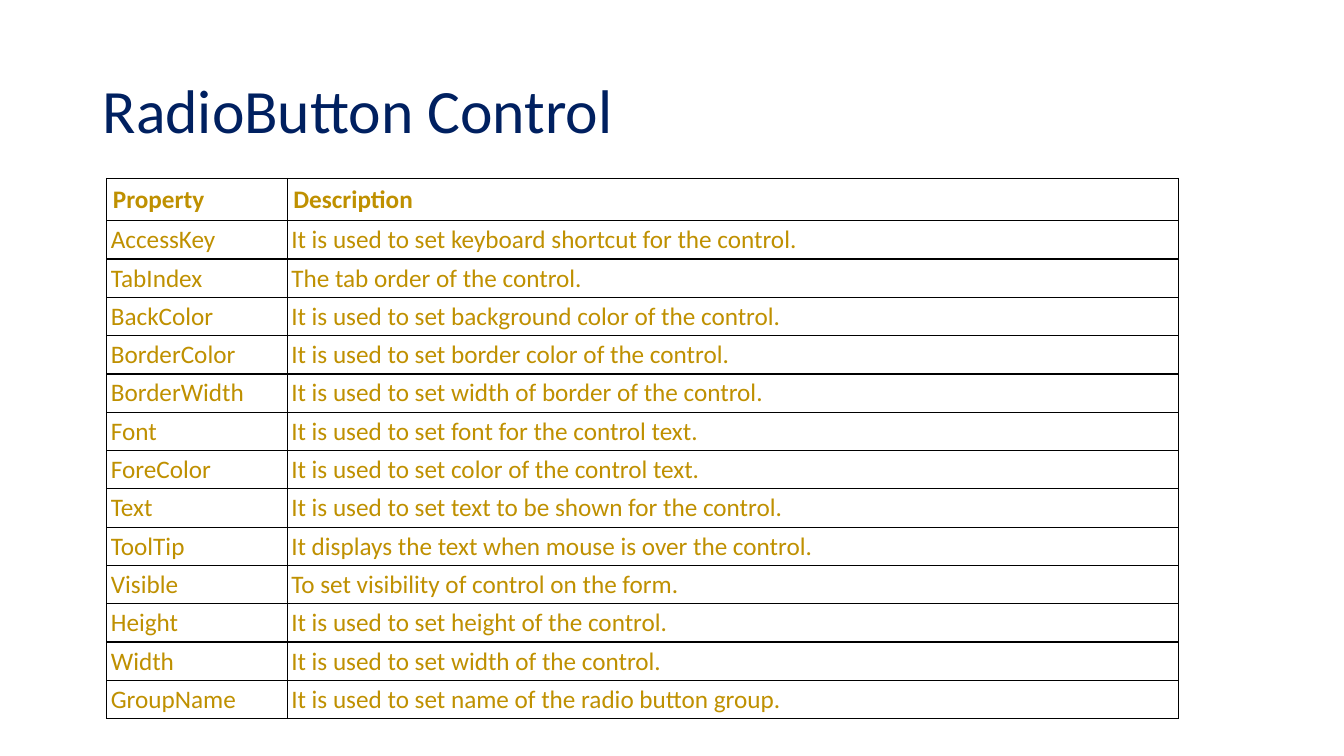
import dataclasses

import pptx
import pptx.dml.color
import pptx.enum.text
import pptx.oxml.ns
import pptx.util
from lxml import etree

ALIGN = pptx.enum.text.PP_ALIGN
ANCHOR = pptx.enum.text.MSO_ANCHOR
Inches = pptx.util.Inches


@dataclasses.dataclass(frozen=True)
class Theme:
    """Colours, font and type sizes of the slide."""
    font: str = "Calibri"
    title_color: str = "002060"
    table_color: str = "BF9000"
    border_color: str = "000000"
    title_size: int = 44
    table_size: int = 18
    border_width: int = 1


THEME = Theme()
WIDTH, HEIGHT = Inches(13.33), Inches(7.5)
COLUMNS = (1.79, 8.84)
HEADER_HEIGHT, ROW_HEIGHT = 0.42, 0.38
HEADER_INSET, BODY_INSET = 0.06, 0.04

HEADER = ("Property", "Description")
PROPERTIES = (
    ("AccessKey", "It is used to set keyboard shortcut for the control."),
    ("TabIndex", "The tab order of the control."),
    ("BackColor", "It is used to set background color of the control."),
    ("BorderColor", "It is used to set border color of the control."),
    ("BorderWidth", "It is used to set width of border of the control."),
    ("Font", "It is used to set font for the control text."),
    ("ForeColor", "It is used to set color of the control text."),
    ("Text", "It is used to set text to be shown for the control."),
    ("ToolTip", "It displays the text when mouse is over the control."),
    ("Visible", "To set visibility of control on the form."),
    ("Height", "It is used to set height of the control."),
    ("Width", "It is used to set width of the control."),
    ("GroupName", "It is used to set name of the radio button group."),
)


def write_text(tf, text, size, color, bold=False, align=ALIGN.LEFT, spacing=None):
    """Write one formatted paragraph into a text frame."""
    p = tf.paragraphs[0]
    p.alignment = align
    p.line_spacing = spacing
    r = p.add_run()
    r.text = text
    r.font.name = THEME.font
    r.font.size = pptx.util.Pt(size)
    r.font.bold = bold
    r.font.color.rgb = pptx.dml.color.RGBColor.from_string(color)


def add_title(slide, text):
    """Add the slide title, centred vertically in its box."""
    sp = slide.shapes.add_textbox(Inches(0.92), Inches(0.4), Inches(11.5), Inches(1.45))
    tf = sp.text_frame
    tf.word_wrap = True
    tf.vertical_anchor = ANCHOR.MIDDLE
    write_text(tf, text, THEME.title_size, THEME.title_color, spacing=0.9)


def set_borders(cell):
    """Draw a solid line on all four sides of a cell."""
    qn = pptx.oxml.ns.qn
    props = cell._tc.get_or_add_tcPr()
    for index, side in enumerate(("lnL", "lnR", "lnT", "lnB")):
        ln = etree.Element(qn(f"a:{side}"), w=str(pptx.util.Pt(THEME.border_width)))
        fill = etree.SubElement(ln, qn("a:solidFill"))
        etree.SubElement(fill, qn("a:srgbClr"), val=THEME.border_color)
        props.insert(index, ln)


def fill_cell(cell, text, inset, **text_format):
    """Set the insets, fill, borders and text of a table cell."""
    cell.margin_left = cell.margin_right = Inches(inset)
    cell.margin_top = cell.margin_bottom = Inches(inset)
    cell.fill.background()
    set_borders(cell)
    write_text(cell.text_frame, text, THEME.table_size, THEME.table_color, **text_format)


def add_property_table(slide, header, properties):
    """Add the table of control properties below the title."""
    rows = (header, *properties)
    height = HEADER_HEIGHT + ROW_HEIGHT * len(properties)
    table = slide.shapes.add_table(
        len(rows), len(COLUMNS), Inches(1.06), Inches(1.77),
        Inches(sum(COLUMNS)), Inches(height)).table
    table.horz_banding = False
    for column, width in zip(table.columns, COLUMNS):
        column.width = Inches(width)
    for i, row in enumerate(rows):
        is_header = i == 0
        table.rows[i].height = Inches(HEADER_HEIGHT if is_header else ROW_HEIGHT)
        for j, text in enumerate(row):
            fill_cell(table.cell(i, j), text,
                      HEADER_INSET if is_header else BODY_INSET,
                      bold=is_header,
                      align=ALIGN.LEFT if is_header else ALIGN.JUSTIFY)


def main():
    """Build the slide and save it."""
    prs = pptx.Presentation()
    prs.slide_width, prs.slide_height = WIDTH, HEIGHT
    slide = prs.slides.add_slide(prs.slide_layouts[6])
    add_title(slide, "RadioButton Control")
    add_property_table(slide, HEADER, PROPERTIES)
    prs.save("out.pptx")


main()
